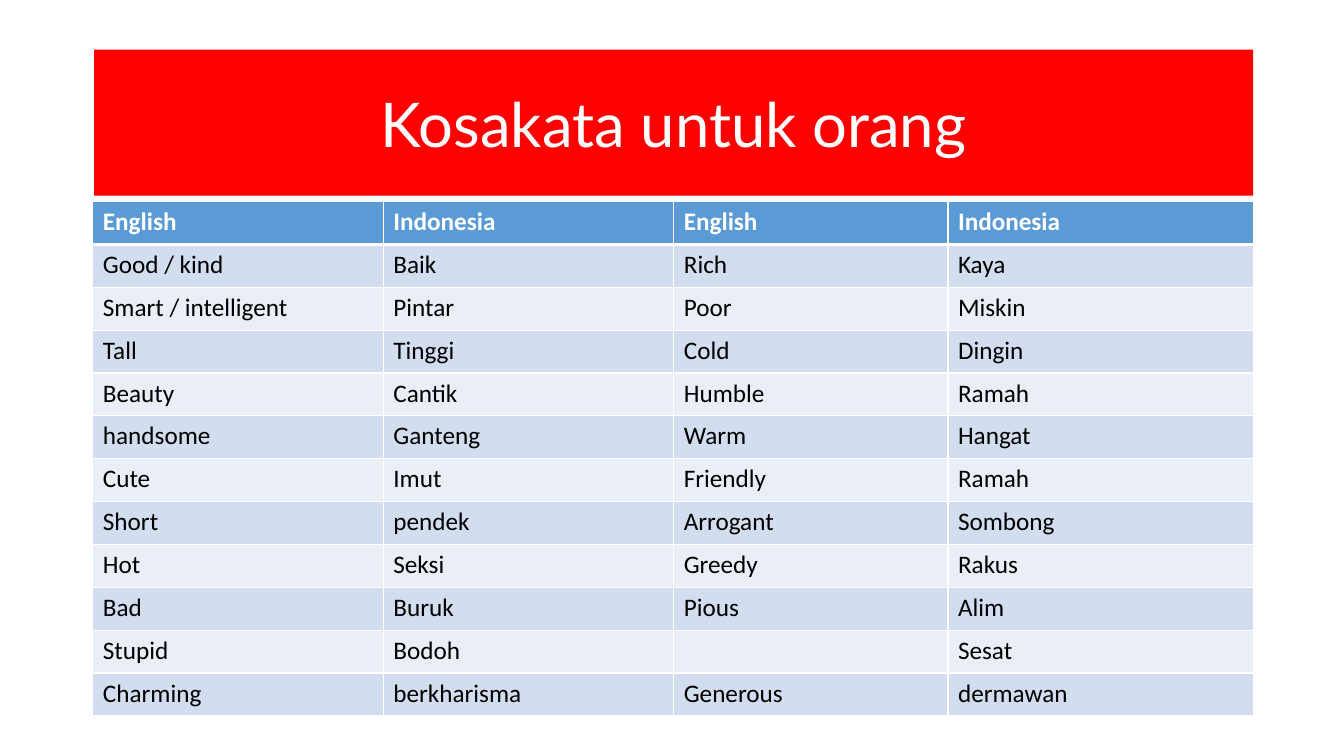
from lxml.etree import SubElement
from pptx import Presentation
from pptx.dml.color import RGBColor
from pptx.enum.shapes import MSO_SHAPE
from pptx.enum.text import MSO_ANCHOR, PP_ALIGN
from pptx.oxml.ns import qn
from pptx.util import Cm, Pt

COLORS = {
    "white": "FFFFFF",
    "black": "000000",
    "red": "FF0000",
    "head": "5B9BD5",
    "odd": "D2DEEF",
    "even": "EAEFF7",
}

WORDS = [
    ("English", "Indonesia", "English", "Indonesia"),
    ("Good / kind", "Baik", "Rich", "Kaya"),
    ("Smart / intelligent", "Pintar", "Poor", "Miskin"),
    ("Tall", "Tinggi", "Cold", "Dingin"),
    ("Beauty", "Cantik", "Humble", "Ramah"),
    ("handsome", "Ganteng", "Warm", "Hangat"),
    ("Cute", "Imut", "Friendly", "Ramah"),
    ("Short", "pendek", "Arrogant", "Sombong"),
    ("Hot", "Seksi", "Greedy", "Rakus"),
    ("Bad", "Buruk", "Pious", "Alim"),
    ("Stupid", "Bodoh", "", "Sesat"),
    ("Charming", "berkharisma", "Generous", "dermawan"),
]
WIDTHS = (7.32, 7.32, 6.91, 7.7)
ROW = 1.08


def color(name):
    return RGBColor.from_string(COLORS[name])


def write(frame, text, font="Calibri", size=18, ink="black", bold=False,
          align=PP_ALIGN.LEFT):
    para = frame.paragraphs[0]
    para.alignment = align
    if not text:
        return
    run = para.add_run()
    run.text = text
    run.font.name = font
    run.font.size = Pt(size)
    run.font.bold = bold
    run.font.color.rgb = color(ink)


class Deck:
    """Holds the style and the current slide."""

    def __init__(self, wide, high):
        self.file = Presentation()
        self.file.slide_width = Cm(wide)
        self.file.slide_height = Cm(high)
        self.slide = self.file.slides.add_slide(self.file.slide_layouts[6])

    def banner(self, text, left, top, wide, high):
        box = self.slide.shapes.add_shape(
            MSO_SHAPE.RECTANGLE, Cm(left), Cm(top), Cm(wide), Cm(high))
        box.shadow.inherit = False
        box.fill.solid()
        box.fill.fore_color.rgb = color("red")
        box.line.fill.background()
        box.text_frame.word_wrap = True
        box.text_frame.vertical_anchor = MSO_ANCHOR.MIDDLE
        write(box.text_frame, text, font="Lato", size=44, ink="white",
              align=PP_ALIGN.CENTER)

    def edges(self, cell, **sides):
        props = cell._tc.get_or_add_tcPr()
        for side, width in sides.items():
            line = SubElement(props, qn(f"a:ln{side}"), w=str(Pt(width)))
            fill = SubElement(line, qn("a:solidFill"))
            SubElement(fill, qn("a:srgbClr"), val=COLORS["white"])

    def table(self, rows, left, top, widths, high):
        grid = self.slide.shapes.add_table(
            len(rows), len(widths), Cm(left), Cm(top),
            Cm(sum(widths)), Cm(high * len(rows))).table
        for col, width in zip(grid.columns, widths):
            col.width = Cm(width)
        for i, row in enumerate(rows):
            grid.rows[i].height = Cm(high)
            head = i == 0
            tint = "head" if head else ("even", "odd")[i % 2]
            for j, text in enumerate(row):
                cell = grid.cell(i, j)
                # A thick rule parts the header from the words
                self.edges(cell, L=1, R=1, T=3 if i == 1 else 1,
                           B=3 if head else 1)
                cell.fill.solid()
                cell.fill.fore_color.rgb = color(tint)
                write(cell.text_frame, text, bold=head,
                      ink="white" if head else "black")

    def save(self):
        self.file.save("out.pptx")


def main():
    deck = Deck(33.87, 19.05)
    # Word list
    deck.table(WORDS, 2.34, 5.08, WIDTHS, ROW)
    # Title
    deck.banner("Kosakata untuk orang", 2.37, 1.25, 29.21, 3.68)
    deck.save()


if __name__ == "__main__":
    main()
